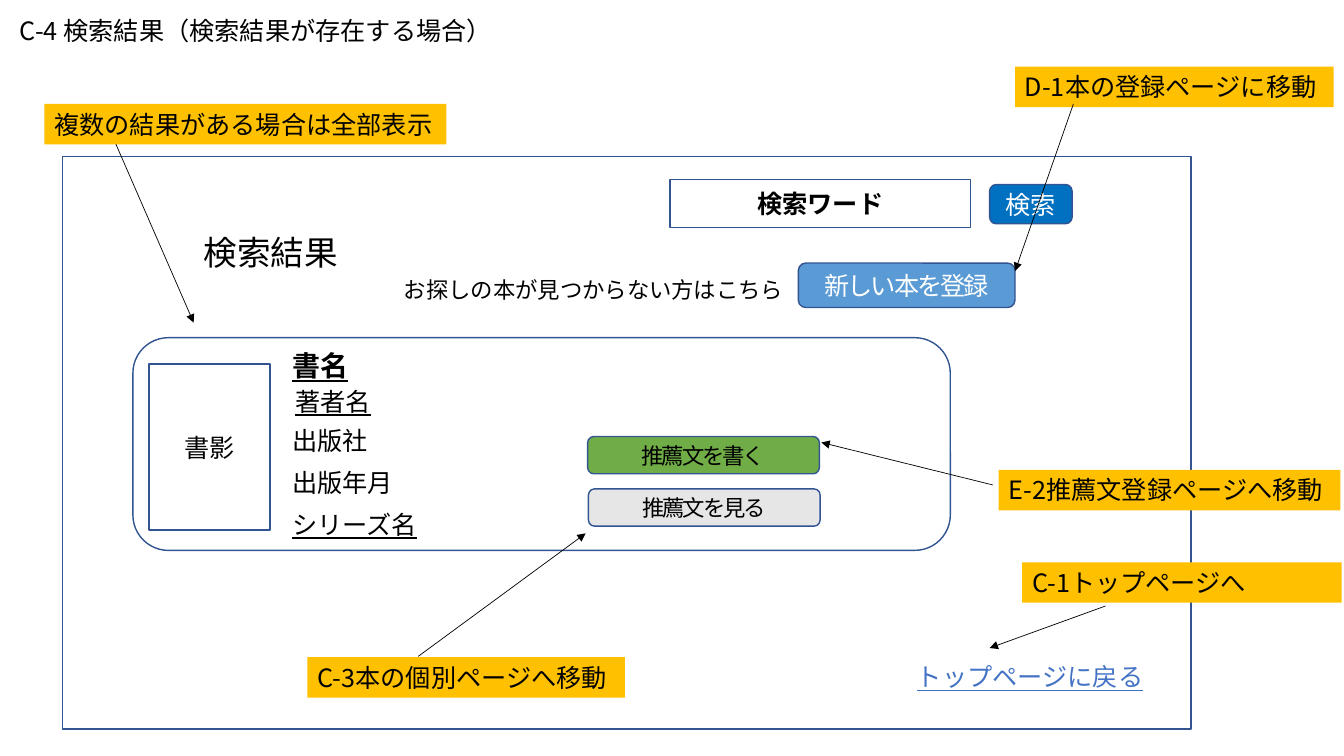
import dataclasses

import lxml.etree
import pptx
import pptx.dml.color
import pptx.enum.shapes
import pptx.enum.text
import pptx.oxml.ns
import pptx.util

Cm = pptx.util.Cm
SHAPE = pptx.enum.shapes.MSO_SHAPE
ALIGN = pptx.enum.text.PP_ALIGN
ANCHOR = pptx.enum.text.MSO_ANCHOR
AUTO_SIZE = pptx.enum.text.MSO_AUTO_SIZE


@dataclasses.dataclass(frozen=True)
class Theme:
    font: str = "Noto Sans CJK JP"
    ink: str = "000000"
    white: str = "FFFFFF"
    outline: str = "325491"
    callout: str = "FFC000"
    link: str = "4472C4"
    search: str = "0070C0"
    register: str = "5B9BD5"
    recommend: str = "70AD47"
    browse: str = "E7E6E6"
    small: int = 16
    body: int = 18
    book: int = 20
    heading: int = 24
    outline_width: float = 1
    arrow_width: float = 0.5
    line_height: float = 1.02


def rgb(color):
    return pptx.dml.color.RGBColor.from_string(color)


def add_xml(parent, tag, **attributes):
    return lxml.etree.SubElement(parent, pptx.oxml.ns.qn(tag), **attributes)


class Wireframe:
    def __init__(self, slide, theme):
        self.slide = slide
        self.theme = theme

    def add_text(self, shape, text, size=None, color=None, bold=False,
                 underline=False, spacing=0, align=ALIGN.LEFT):
        paragraph = shape.text_frame.paragraphs[0]
        paragraph.alignment = align
        run = paragraph.add_run()
        run.text = text
        font = run.font
        font.size = pptx.util.Pt(size or self.theme.body)
        font.color.rgb = rgb(color or self.theme.ink)
        font.bold = bold
        font.underline = underline
        font.name = self.theme.font
        properties = run._r.get_or_add_rPr()
        add_xml(properties, "a:ea", typeface=self.theme.font)
        if spacing:
            properties.set("spc", str(int(spacing * 100)))

    def label(self, text, left, top, width, height=None, wrap=False, **style):
        height = height or self.theme.line_height
        box = self.slide.shapes.add_textbox(Cm(left), Cm(top), Cm(width), Cm(height))
        box.text_frame.word_wrap = wrap
        box.text_frame.auto_size = AUTO_SIZE.SHAPE_TO_FIT_TEXT
        self.add_text(box, text, **style)

    def shape(self, kind, left, top, width, height, fill=None, outlined=True):
        shape = self.slide.shapes.add_shape(kind, Cm(left), Cm(top), Cm(width), Cm(height))
        shape.shadow.inherit = False
        if fill:
            shape.fill.solid()
            shape.fill.fore_color.rgb = rgb(fill)
        else:
            shape.fill.background()
        if outlined:
            shape.line.color.rgb = rgb(self.theme.outline)
            shape.line.width = pptx.util.Pt(self.theme.outline_width)
        else:
            shape.line.fill.background()
        return shape

    def box(self, kind, text, left, top, width, height, fill=None, **style):
        shape = self.shape(kind, left, top, width, height, fill)
        shape.text_frame.word_wrap = True
        shape.text_frame.vertical_anchor = ANCHOR.MIDDLE
        self.add_text(shape, text, align=ALIGN.CENTER, **style)

    def callout(self, text, left, top, width, wrap=False):
        shape = self.shape(SHAPE.RECTANGLE, left, top, width, self.theme.line_height,
                           self.theme.callout, outlined=False)
        frame = shape.text_frame
        frame.word_wrap = wrap
        frame.auto_size = AUTO_SIZE.SHAPE_TO_FIT_TEXT
        frame.vertical_anchor = ANCHOR.TOP
        self.add_text(shape, text)

    def arrow(self, start, end):
        connector = self.slide.shapes.add_connector(
            pptx.enum.shapes.MSO_CONNECTOR.STRAIGHT, *map(Cm, start + end))
        connector.line.color.rgb = rgb(self.theme.ink)
        connector.line.width = pptx.util.Pt(self.theme.arrow_width)
        properties = connector._element.spPr
        add_xml(properties.find(pptx.oxml.ns.qn("a:ln")), "a:tailEnd", type="triangle")
        add_xml(properties, "a:effectLst")


theme = Theme()
presentation = pptx.Presentation()
presentation.slide_width = Cm(33.87)
presentation.slide_height = Cm(19.05)
slide = presentation.slides.add_slide(presentation.slide_layouts[6])
page = Wireframe(slide, theme)

# Title and page frame
page.label("C-4 検索結果（検索結果が存在する場合）", 0.25, 0.25, 12.65)
page.shape(SHAPE.RECTANGLE, 1.57, 3.94, 28.45, 14.43)

# Search and registration
page.box(SHAPE.RECTANGLE, "検索ワード", 16.89, 4.52, 7.57, 1.22, bold=True)
page.box(SHAPE.ROUNDED_RECTANGLE, "検索", 24.94, 4.65, 2.08, 0.99,
         theme.search, color=theme.white)
page.label("検索結果", 4.88, 5.72, 3.94, 1.27, size=theme.heading)
page.label("お探しの本が見つからない方はこちら", 9.93, 6.83, 10.21, 0.94, size=theme.small)
page.box(SHAPE.ROUNDED_RECTANGLE, "新しい本を登録", 20.12, 6.63, 5.46, 1.12,
         theme.register, color=theme.white, spacing=-1.5)

# Book card
page.shape(SHAPE.ROUNDED_RECTANGLE, 3.35, 8.51, 20.6, 5.36)
page.box(SHAPE.RECTANGLE, "書影", 3.76, 9.17, 3.05, 4.19)
page.label("書名", 7.11, 8.66, 1.93, 1.12, wrap=True,
           size=theme.book, bold=True, underline=True)
page.label("著者名", 7.19, 9.6, 2.44, wrap=True, underline=True)
for row, (detail, linked) in enumerate(
        [("出版社", False), ("出版年月", False), ("シリーズ名", True)]):
    page.label(detail, 7.11, 10.6 + 1.05 * row, 4.08, wrap=True, underline=linked)
for text, left, top, fill in [("推薦文を書く", 14.81, 11, theme.recommend),
                              ("推薦文を見る", 14.83, 12.32, theme.browse)]:
    page.box(SHAPE.ROUNDED_RECTANGLE, text, left, top, 5.84, 0.94, fill,
             size=theme.small, spacing=-1.5)

# Link back to the top page
page.label("トップページに戻る", 22.86, 16.54, 6.27, color=theme.link, underline=True)

# Callouts and their arrows
page.callout("複数の結果がある場合は全部表示", 1.12, 2.62, 10.13)
page.callout("D-1本の登録ページに移動", 25.58, 1.68, 8.03)
page.callout("E-2推薦文登録ページへ移動", 25.17, 11.84, 8.61)
page.callout("C-3本の個別ページへ移動", 7.75, 16.56, 8)
page.callout("C-1トップページへ", 25.76, 14.17, 8.05, wrap=True)
for start, end in [((2.92, 3.63), (4.88, 8.13)),
                   ((27.05, 2.62), (25.58, 6.83)),
                   ((25.02, 12.22), (20.7, 11.15)),
                   ((10.54, 16.54), (14.76, 13.44)),
                   ((27.86, 15.27), (24.94, 16.33))]:
    page.arrow(start, end)

presentation.save("out.pptx")
